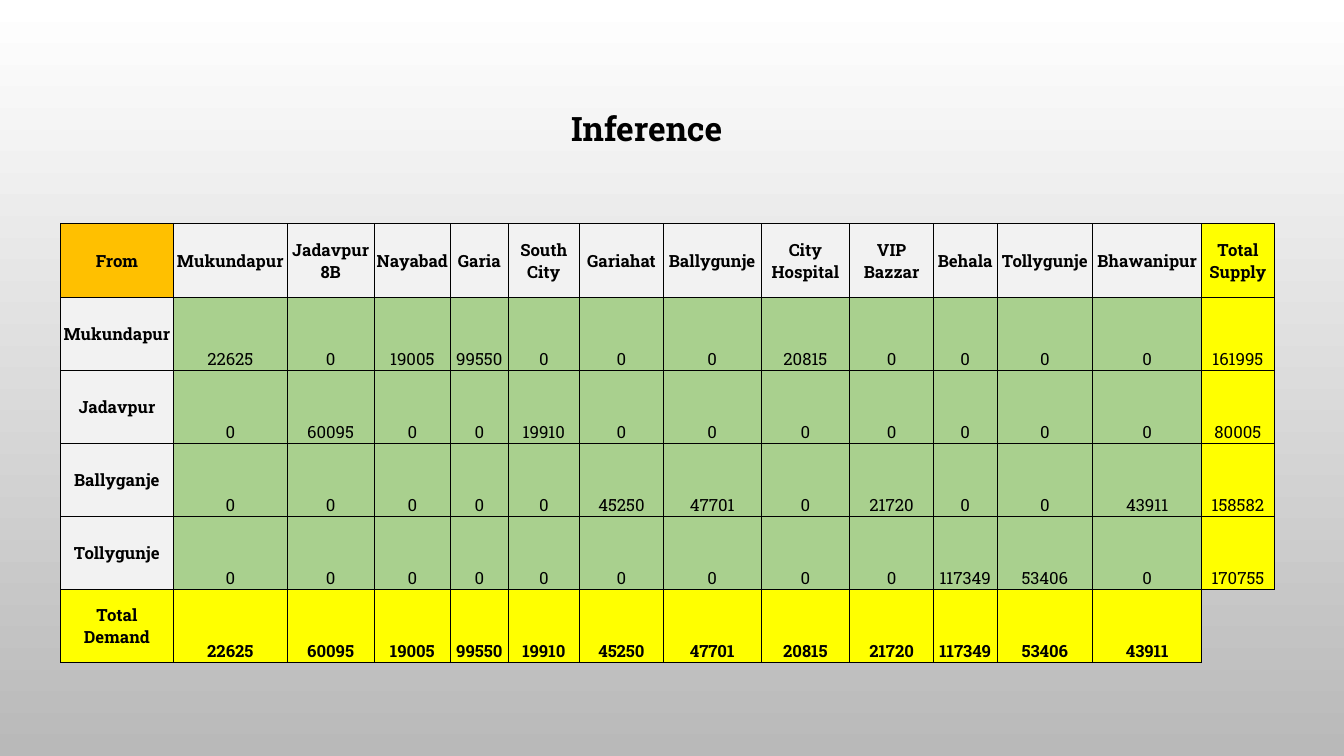
import pptx
import pptx.util
import pptx.dml.color
import pptx.enum.text
import pptx.oxml
import pptx.oxml.ns

Inches, Pt = pptx.util.Inches, pptx.util.Pt
ANCHOR = pptx.enum.text.MSO_ANCHOR
FONT = "Roboto Slab"
COLORS = {
    "ink": "000000",
    "corner": "FFC000",
    "place": "F2F2F2",
    "shipment": "A9D08E",
    "total": "FFFF00",
    "sky": "FFFFFF",
    "ground": "B9B9B9",
}
DESTINATIONS = [
    "Mukundapur", "Jadavpur 8B", "Nayabad", "Garia", "South City", "Gariahat",
    "Ballygunje", "City Hospital", "VIP Bazzar", "Behala", "Tollygunje", "Bhawanipur",
]
SHIPMENTS = {
    "Mukundapur": [22625, 0, 19005, 99550, 0, 0, 0, 20815, 0, 0, 0, 0],
    "Jadavpur": [0, 60095, 0, 0, 19910, 0, 0, 0, 0, 0, 0, 0],
    "Ballyganje": [0, 0, 0, 0, 0, 45250, 47701, 0, 21720, 0, 0, 43911],
    "Tollygunje": [0, 0, 0, 0, 0, 0, 0, 0, 0, 117349, 53406, 0],
}
COLUMN_WIDTHS = [1.12, 1.13, 0.86, 0.76, 0.57, 0.71, 0.83,
                 0.97, 0.88, 0.83, 0.63, 0.95, 1.08, 0.72]
TABLE_HEIGHT = 4.35


def rgb(name):
    return pptx.dml.color.RGBColor.from_string(COLORS[name])


def style_paragraph(paragraph, size, bold):
    paragraph.alignment = pptx.enum.text.PP_ALIGN.CENTER
    paragraph.font.name = FONT
    paragraph.font.size = Pt(size)
    paragraph.font.bold = bold
    paragraph.font.color.rgb = rgb("ink")


def paint_background(slide):
    fill = slide.background.fill
    fill.gradient()
    fill.gradient_angle = 270
    for stop, name in zip(fill.gradient_stops, ("sky", "ground")):
        stop.color.rgb = rgb(name)
    fill.gradient_stops[0].position = 0
    fill.gradient_stops[1].position = 1


def add_title(slide, text):
    box = slide.shapes.add_textbox(Inches(3.08), Inches(1.02), Inches(6.67), Inches(0.5))
    box.text_frame.word_wrap = True
    box.text_frame.auto_size = pptx.enum.text.MSO_AUTO_SIZE.SHAPE_TO_FIT_TEXT
    box.text_frame.text = text
    style_paragraph(box.text_frame.paragraphs[0], 24, True)


def set_borders(cell, drawn_sides="LRTB"):
    """Draw thin lines on the given sides and clear the others."""
    properties = cell._tc.get_or_add_tcPr()
    line = f'<a:solidFill><a:srgbClr val="{COLORS["ink"]}"/></a:solidFill>'
    for side in "LRTB":
        paint = line if side in drawn_sides else "<a:noFill/>"
        properties.append(pptx.oxml.parse_xml(
            f'<a:ln{side} {pptx.oxml.ns.nsdecls("a")} w="{Pt(0.5)}">{paint}</a:ln{side}>'))


def fill_cell(cell, value, color, bold):
    set_borders(cell)
    cell.fill.solid()
    cell.fill.fore_color.rgb = rgb(color)
    cell.margin_left = cell.margin_top = cell.margin_right = Inches(0.01)
    cell.margin_bottom = 0
    cell.vertical_anchor = ANCHOR.BOTTOM if isinstance(value, int) else ANCHOR.MIDDLE
    cell.text = str(value)
    style_paragraph(cell.text_frame.paragraphs[0], 12, bold)


def cell_color(row, column, last_row, last_column):
    if row == column == 0:
        return "corner"
    if row == last_row or column == last_column:
        return "total"
    return "place" if row == 0 or column == 0 else "shipment"


def add_supply_table(slide):
    rows = [["From", *DESTINATIONS, "Total Supply"]]
    rows += [[source, *amounts, sum(amounts)] for source, amounts in SHIPMENTS.items()]
    rows.append(["Total Demand", *map(sum, zip(*SHIPMENTS.values()))])
    last_row, last_column = len(rows) - 1, len(COLUMN_WIDTHS) - 1

    table = slide.shapes.add_table(
        len(rows), len(COLUMN_WIDTHS), Inches(0.6), Inches(2.22),
        Inches(sum(COLUMN_WIDTHS)), Inches(TABLE_HEIGHT)).table
    table.first_row = table.horz_banding = False
    for column, width in zip(table.columns, COLUMN_WIDTHS):
        column.width = Inches(width)

    for r, values in enumerate(rows):
        for c, value in enumerate(values):
            bold = isinstance(value, str) or r == last_row
            fill_cell(table.cell(r, c), value,
                      cell_color(r, c, last_row, last_column), bold)

    open_corner = table.cell(last_row, last_column)
    set_borders(open_corner, "LT")
    open_corner.fill.background()


def main():
    presentation = pptx.Presentation()
    presentation.slide_width = Inches(13.33)
    presentation.slide_height = Inches(7.5)
    slide = presentation.slides.add_slide(presentation.slide_layouts[6])
    paint_background(slide)
    add_supply_table(slide)
    add_title(slide, "Inference")
    presentation.save("out.pptx")


if __name__ == "__main__":
    main()
